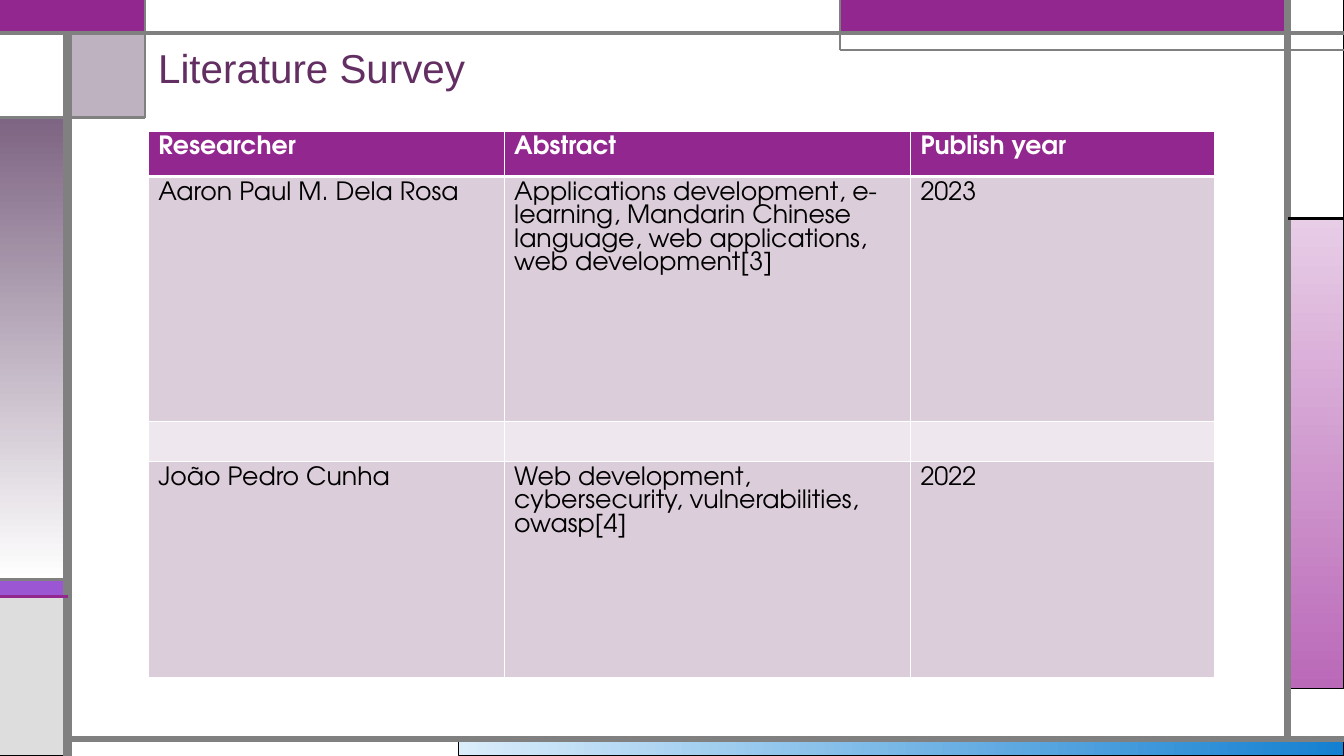
from lxml.etree import SubElement
from pptx import Presentation
from pptx.dml.color import RGBColor as RGB
from pptx.enum.shapes import MSO_CONNECTOR as CONNECTOR, MSO_SHAPE as SHAPE
from pptx.enum.text import MSO_ANCHOR as ANCHOR
from pptx.oxml.ns import qn
from pptx.util import Inches, Pt

WHITE, BLACK, GREY = RGB(255, 255, 255), RGB(0, 0, 0), RGB(0x80, 0x80, 0x80)
PURPLE, VIOLET, INDIGO = RGB(0x92, 0x27, 0x8F), RGB(0x9B, 0x57, 0xD3), RGB(0x75, 0x5D, 0xD9)
MAUVE, PLUM, SILVER = RGB(0x7E, 0x65, 0x83), RGB(0x63, 0x2E, 0x62), RGB(0xDD, 0xDD, 0xDD)
PINK, ORCHID = RGB(0xE8, 0xCD, 0xE7), RGB(0xBA, 0x69, 0xB8)
SKY, BLUE = RGB(0xDA, 0xED, 0xFB), RGB(0x14, 0x80, 0xD1)
BAND_DARK, BAND_LIGHT = RGB(0xDC, 0xCD, 0xDB), RGB(0xEE, 0xE8, 0xEE)

WIDTH, HEIGHT = 13.33, 7.5
LEFT, INNER, MIDDLE, RIGHT = 0.67, 1.44, 8.33, 12.77
TOP, SHELF, CORNER, NOTCH, STRIPE, BASE, BOTTOM = 0.33, 0.5, 1.17, 2.17, 5.75, 5.92, 7.33
ACROSS, DOWN = 0, 270

TITLE = "Literature Survey"
SURVEY = [
    ("Researcher", "Abstract", "Publish year"),
    ("Aaron Paul M. Dela Rosa",
     "Applications development, e-learning, Mandarin Chinese language, "
     "web applications, web development[3]", "2023"),
    ("", "", ""),
    ("João Pedro Cunha", "Web development, cybersecurity, vulnerabilities, owasp[4]", "2022"),
]
COLUMN_WIDTHS = (3.53, 4.03, 3.02)
ROW_HEIGHTS = (0.45, 2.43, 0.39, 2.14)
ROW_FILLS = (PURPLE, BAND_DARK, BAND_LIGHT, BAND_DARK)

# left, top, right, bottom, fill, outline, outline width
PANELS = [
    (4.55, BOTTOM, WIDTH, HEIGHT, (SKY, BLUE, ACROSS), BLACK, 0.75),
    (RIGHT, NOTCH, WIDTH, 6.83, (PINK, ORCHID, DOWN), BLACK, 0.75),
    (0, STRIPE, LEFT, BASE, VIOLET, BLACK, 0.75),
    (0, BASE, LEFT, HEIGHT, SILVER, BLACK, 0.75),
    (RIGHT, 0, WIDTH, NOTCH, WHITE, BLACK, 0.75),
    (MIDDLE, 0, RIGHT, TOP, PURPLE, INDIGO, 0.75),
    (LEFT, TOP, INNER, CORNER, (MAUVE, 50), BLACK, 0.75),
    (0, CORNER, LEFT, STRIPE, (MAUVE, WHITE, DOWN), BLACK, 0.75),
    (0, TOP, LEFT, CORNER, WHITE, BLACK, 0.75),
    (0, 0, INNER, TOP, PURPLE, PURPLE, 1.5),
    (INNER, 0, MIDDLE, TOP, WHITE, GREY, 0.75),
]
RULES = [
    (LEFT, HEIGHT, LEFT, TOP, GREY, 6),
    (LEFT, BOTTOM, WIDTH, BOTTOM, GREY, 4.5),
    (RIGHT, BOTTOM, RIGHT, 0, GREY, 4.5),
    (0, TOP, WIDTH, TOP, GREY, 3),
    (WIDTH, SHELF, MIDDLE, SHELF, GREY, 1.5),
    (MIDDLE, SHELF, MIDDLE, 0, GREY, 1.5),
    (RIGHT, NOTCH, WIDTH, NOTCH, BLACK, 2.25),
    (INNER, 0, INNER, CORNER, GREY, 1.5),
    (INNER, CORNER, 0, CORNER, GREY, 2.25),
    (LEFT, STRIPE, 0, STRIPE, GREY, 2.25),
    (LEFT, BASE, 0, BASE, PURPLE, 2.25),
]


def paint(fill, paint_spec):
    if isinstance(paint_spec, RGB):
        fill.solid()
        fill.fore_color.rgb = paint_spec
        return
    start, end, angle = paint_spec
    fill.gradient()
    fill.gradient_angle = angle
    for stop, color in zip(fill.gradient_stops, (start, end)):
        stop.color.rgb = color


def add_panel(slide, left, top, right, bottom, fill, outline, weight):
    panel = slide.shapes.add_shape(
        SHAPE.RECTANGLE, Inches(left), Inches(top), Inches(right - left), Inches(bottom - top))
    panel.shadow.inherit = False
    see_through = isinstance(fill, tuple) and len(fill) == 2
    paint(panel.fill, fill[0] if see_through else fill)
    if see_through:
        color = panel._element.spPr.find(qn("a:solidFill"))[0]
        SubElement(color, qn("a:alpha")).set("val", str(fill[1] * 1000))
    panel.line.color.rgb = outline
    panel.line.width = Pt(weight)


def add_rule(slide, x1, y1, x2, y2, color, weight):
    rule = slide.shapes.add_connector(
        CONNECTOR.STRAIGHT, Inches(x1), Inches(y1), Inches(x2), Inches(y2))
    rule.line.color.rgb = color
    rule.line.width = Pt(weight)
    SubElement(rule._element.spPr, qn("a:effectLst"))


def style(paragraph, font_name, size, color, bold=False):
    font = paragraph.font
    font.name, font.size, font.bold = font_name, Pt(size), bold
    font.color.rgb = color


def add_borders(cell, bottom_weight):
    properties = cell._tc.get_or_add_tcPr()
    for index, (side, weight) in enumerate(
            (("lnL", 1), ("lnR", 1), ("lnT", 1), ("lnB", bottom_weight))):
        border = properties.makeelement(qn("a:" + side), {"w": str(Pt(weight))})
        solid = SubElement(border, qn("a:solidFill"))
        SubElement(solid, qn("a:srgbClr")).set("val", str(WHITE))
        properties.insert(index, border)


def add_title(slide):
    box = slide.shapes.add_textbox(Inches(1.47), Inches(0.36), Inches(3.43), Inches(0.6))
    frame = box.text_frame
    frame.word_wrap = True
    frame.vertical_anchor = ANCHOR.BOTTOM
    frame.text = TITLE
    frame.paragraphs[0].line_spacing = 0.9
    style(frame.paragraphs[0], "Arial", 28.8, PLUM)


def add_survey(slide):
    table = slide.shapes.add_table(
        len(SURVEY), len(COLUMN_WIDTHS), Inches(1.47), Inches(1.3),
        Inches(sum(COLUMN_WIDTHS)), Inches(sum(ROW_HEIGHTS))).table
    for column, width in zip(table.columns, COLUMN_WIDTHS):
        column.width = Inches(width)
    for index, (row, height) in enumerate(zip(table.rows, ROW_HEIGHTS)):
        row.height = Inches(height)
        header = index == 0
        for cell, wording in zip(row.cells, SURVEY[index]):
            cell.text = wording
            style(cell.text_frame.paragraphs[0], "TeX Gyre Adventor", 18,
                  WHITE if header else BLACK, header)
            paint(cell.fill, ROW_FILLS[index])
            add_borders(cell, 3 if header else 1)


def main():
    """Build the literature survey slide and save it."""
    deck = Presentation()
    deck.slide_width, deck.slide_height = Inches(WIDTH), Inches(HEIGHT)
    slide = deck.slides.add_slide(deck.slide_layouts[6])
    for panel in PANELS:
        add_panel(slide, *panel)
    for rule in RULES:
        add_rule(slide, *rule)
    add_title(slide)
    add_survey(slide)
    deck.save("out.pptx")


if __name__ == "__main__":
    main()
